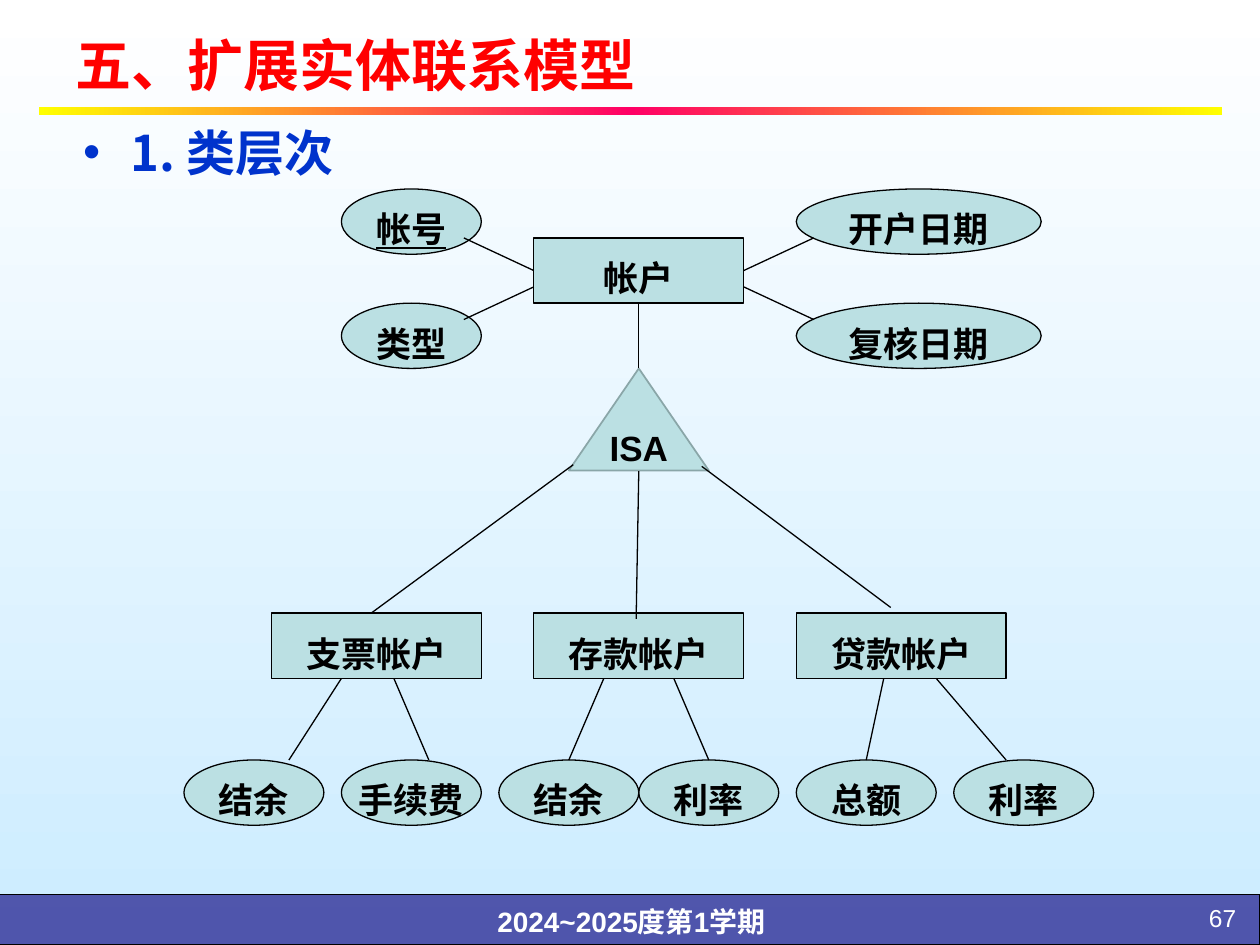
from copy import deepcopy

from lxml import etree
from pptx import Presentation
from pptx import util as u
from pptx.dml.color import RGBColor
from pptx.enum import shapes, text
from pptx.oxml import ns

RED = RGBColor(0xFF, 0x00, 0x00)
BLUE = RGBColor(0x00, 0x33, 0xCC)
NAVY = RGBColor(0x33, 0x33, 0x99)
YELLOW = RGBColor(0xFF, 0xFF, 0x00)
PINK = RGBColor(0xFF, 0x00, 0x66)
TEAL = RGBColor(0xBB, 0xE0, 0xE3)
GREY = RGBColor(0x8A, 0xA6, 0xA8)
SKY = RGBColor(0xCC, 0xEC, 0xFF)
WHITE = RGBColor(0xFF, 0xFF, 0xFF)
BLACK = RGBColor(0x00, 0x00, 0x00)

LATIN = "Arial"
HAN = "Noto Sans CJK SC"
LEFT, CENTER, RIGHT = text.PP_ALIGN.LEFT, text.PP_ALIGN.CENTER, text.PP_ALIGN.RIGHT
RECT = shapes.MSO_SHAPE.RECTANGLE
OVAL = shapes.MSO_SHAPE.OVAL
TRIANGLE = shapes.MSO_SHAPE.ISOSCELES_TRIANGLE

# The diagram sits on a grid of 52 columns and 39 rows
COLUMNS, ROWS = 52, 39
NODE_ROWS = 4
ENTITY, ATTRIBUTE, WIDE_ATTRIBUTE = (RECT, 12), (OVAL, 8), (OVAL, 14)

# (kind, column, row, label)
NODES = [
    (ENTITY, 20, 3, "帐户"),
    (ATTRIBUTE, 9, 0, "帐号"),
    (ATTRIBUTE, 9, 7, "类型"),
    (WIDE_ATTRIBUTE, 35, 0, "开户日期"),
    (WIDE_ATTRIBUTE, 35, 7, "复核日期"),
    (ENTITY, 5, 26, "支票帐户"),
    (ENTITY, 20, 26, "存款帐户"),
    (ENTITY, 35, 26, "贷款帐户"),
    (ATTRIBUTE, 0, 35, "结余"),
    (ATTRIBUTE, 9, 35, "手续费"),
    (ATTRIBUTE, 18, 35, "结余"),
    (ATTRIBUTE, 26, 35, "利率"),
    (ATTRIBUTE, 35, 35, "总额"),
    (ATTRIBUTE, 44, 35, "利率"),
]
KEY_LABEL = "帐号"

# (from column, from row, to column, to row)
LINKS = [
    (16, 3, 20, 5), (16, 8, 20, 6), (32, 6, 36, 8), (32, 5, 36, 3),
    (26, 7, 26, 11),
    (22.25, 16.9, 10.7, 26), (26, 17.3, 25.85, 26.35), (29.6, 17, 40.4, 25.65),
    (9, 30, 6, 35), (12, 30, 14, 35),
    (24, 30, 22, 35), (28, 30, 30, 35),
    (40, 30, 39, 35), (43, 30, 47, 35),
]


def inches(*lengths):
    return [u.Inches(length) for length in lengths]


def place(shape, box):
    shape.left, shape.top, shape.width, shape.height = inches(*box)


def write(shape, words, size, color, align=CENTER, bold=True, spacing=1.0,
          latin=LATIN, anchor=text.MSO_ANCHOR.TOP, wrap=True):
    frame = shape.text_frame
    frame.text = words
    frame.auto_size = text.MSO_AUTO_SIZE.NONE
    frame.word_wrap = wrap
    frame.vertical_anchor = anchor
    para = frame.paragraphs[0]
    para.alignment = align
    para.line_spacing = spacing
    para.space_before = u.Pt(0)
    span = para.runs[0]
    span.font.name = latin
    span.font.size = u.Pt(size)
    span.font.bold = bold
    span.font.color.rgb = color
    east = etree.SubElement(span.font._element, ns.qn("a:ea"))
    east.set("typeface", HAN)
    return span


def add_block(page, kind, box, fill=TEAL, line=BLACK, weight=0.75):
    shape = page.shapes.add_shape(kind, *inches(*box))
    shape.shadow.inherit = False
    shape.fill.solid()
    shape.fill.fore_color.rgb = fill
    shape.line.color.rgb = line
    shape.line.width = u.Pt(weight)
    return shape


def add_text(page, box, words, size, color, **style):
    return write(page.shapes.add_textbox(*inches(*box)), words, size, color, **style)


def add_link(page, start, end):
    link = page.shapes.add_connector(shapes.MSO_CONNECTOR.STRAIGHT,
                                     *inches(*start, *end))
    link.line.color.rgb = BLACK
    link.line.width = u.Pt(0.75)
    etree.SubElement(link._element.spPr, ns.qn("a:effectLst"))


def paint_gradient(fill, colors, angle):
    """Spread the colours evenly along a linear gradient."""
    fill.gradient()
    fill.gradient_angle = angle
    stops = fill.gradient_stops
    for _ in colors[len(stops):]:
        last = stops[-1]._gs
        last.addnext(deepcopy(last))
        stops = fill.gradient_stops
    for index, (stop, color) in enumerate(zip(stops, colors)):
        stop.color.rgb = color
        stop.position = index / (len(colors) - 1)


def add_header(page, box):
    left, top, width, height = box
    title, body = page.placeholders
    place(title, (left + 0.19, top, width - 0.39, height))
    write(title, "五、扩展实体联系模型", 32, RED, align=LEFT,
          anchor=text.MSO_ANCHOR.MIDDLE)

    # Gradient rule under the title
    rule = add_block(page, RECT, (left, top + 0.72, width, 0.06))
    rule.line.fill.background()
    paint_gradient(rule.fill, [YELLOW, PINK, YELLOW], 0)

    # Section heading
    place(body, (left + 0.25, top + 0.79, 7.25, 0.57))
    props = body.text_frame.paragraphs[0]._p.get_or_add_pPr()
    props.set("marL", "0")
    props.set("indent", "0")
    etree.SubElement(props, ns.qn("a:buNone"))
    write(body, "1. 类层次", 28, BLUE, align=LEFT, latin=HAN)


def add_footer(page, box):
    left, top, width, height = box
    band = add_block(page, RECT, box, fill=NAVY)
    color = band.fill._xPr.find(".//" + ns.qn("a:srgbClr"))
    etree.SubElement(color, ns.qn("a:alpha")).set("val", "81000")
    add_text(page, (left + 2.7, top - 0.02, 4.64, 0.42), "2024~2025度第1学期",
             16, WHITE, spacing=1.2)
    add_text(page, (left + 8.95, top + 0.02, 0.97, 0.3), "67", 14, WHITE,
             align=RIGHT, bold=False)


def add_diagram(page, box):
    left, top, width, height = box

    def point(column, row):
        return left + column * width / COLUMNS, top + row * height / ROWS

    def cell(column, row, columns, rows):
        return (*point(column, row), columns * width / COLUMNS, rows * height / ROWS)

    # Class hierarchy triangle
    add_block(page, TRIANGLE, cell(22, 11, 8, 6.25), line=GREY, weight=1)

    # Entities and attributes
    for (kind, columns), column, row, label in NODES:
        node = add_block(page, kind, cell(column, row, columns, NODE_ROWS))
        span = write(node, label, 20, BLACK, spacing=1.35, wrap=False,
                     anchor=text.MSO_ANCHOR.MIDDLE)
        if label == KEY_LABEL:
            span.font.underline = True

    for x1, y1, x2, y2 in LINKS:
        add_link(page, point(x1, y1), point(x2, y2))

    add_text(page, cell(23, 13.25, 6, 4.25), "ISA", 20, BLACK, spacing=1.35)


def main():
    deck = Presentation()
    deck.slide_width, deck.slide_height = inches(10, 7.5)
    page = deck.slides.add_slide(deck.slide_layouts[1])
    paint_gradient(page.background.fill, [WHITE, SKY], 270)
    add_footer(page, (-0.01, 7.1, 10.01, 0.4))
    add_header(page, (0.31, 0.13, 9.39, 0.76))
    add_diagram(page, (1.46, 1.5, 7.22, 5.05))
    deck.save("out.pptx")


if __name__ == "__main__":
    main()
